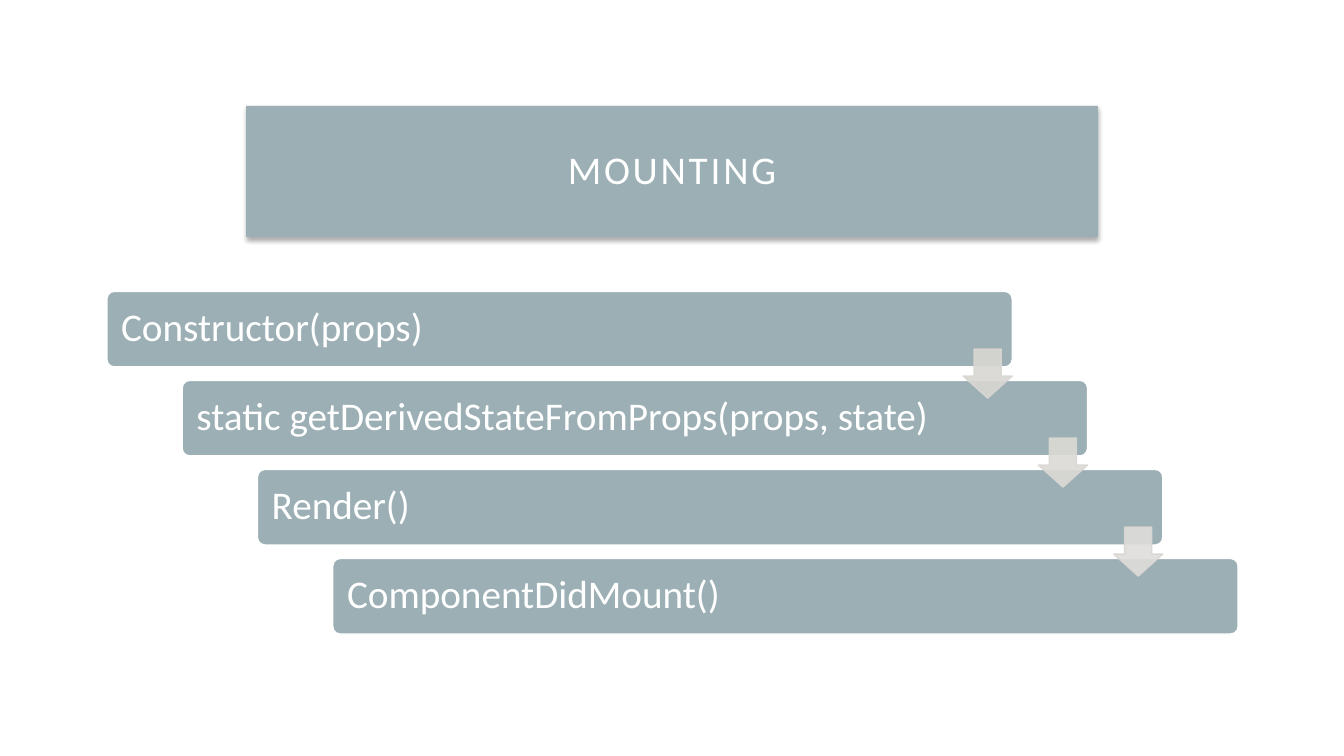
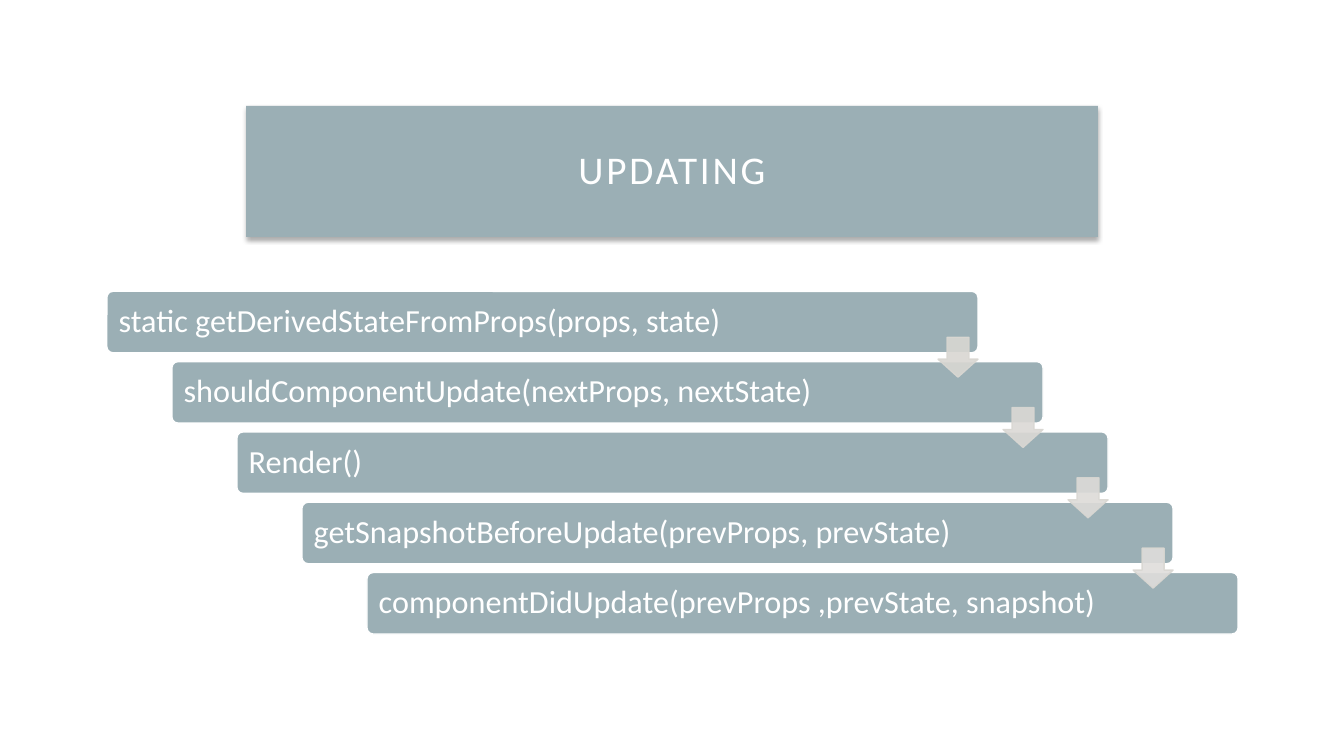
from dataclasses import dataclass

from lxml import etree
from pptx import Presentation
from pptx import util as u
from pptx.dml.color import RGBColor
from pptx.enum import shapes, text
from pptx.oxml import ns

TEAL = RGBColor(0x9B, 0xAF, 0xB5)
WHITE = RGBColor(0xFF, 0xFF, 0xFF)
BLACK = RGBColor(0x00, 0x00, 0x00)
ARROW_FIRST = RGBColor(0xD9, 0xD7, 0xD2)
ARROW_LAST = RGBColor(0xDF, 0xDD, 0xDB)
FONT = "Calibri"

CASCADE_LEFT, CASCADE_TOP = 1.06, 2.89
CASCADE_WIDTH, CASCADE_HEIGHT = 11.22, 3.4
ARROW_RATIO = 0.65


@dataclass(frozen=True)
class Lifecycle:
    title: str
    methods: tuple[str, ...]
    bar_width: float
    bar_height: float
    inset: float
    font_size: float


LIFECYCLES = (
    Lifecycle(
        "MOUNTING",
        (
            "Constructor(props)",
            "static getDerivedStateFromProps(props, state)",
            "Render()",
            "ComponentDidMount()",
        ),
        bar_width=8.98, bar_height=0.75, inset=0.12, font_size=28,
    ),
    Lifecycle(
        "UPDATING",
        (
            "static getDerivedStateFromProps(props, state)",
            "shouldComponentUpdate(nextProps, nextState)",
            "Render()",
            "getSnapshotBeforeUpdate(prevProps, prevState)",
            "componentDidUpdate(prevProps ,prevState, snapshot)",
        ),
        bar_width=8.64, bar_height=0.61, inset=0.1, font_size=23,
    ),
)


def add_block(parent, kind, left: float, top: float, width: float, height: float,
              fill: RGBColor, line: RGBColor | None = None):
    block = parent.add_shape(kind, u.Inches(left), u.Inches(top),
                             u.Inches(width), u.Inches(height))
    block.shadow.inherit = False
    block.fill.solid()
    block.fill.fore_color.rgb = fill
    if line is None:
        block.line.fill.background()
    else:
        block.line.color.rgb = line
        block.line.width = u.Pt(1)
    return block


def add_alpha(color, percent: int) -> None:
    etree.SubElement(color, ns.qn("a:alpha"), val=str(percent * 1000))


def write_label(block, label: str, size: float, inset: float, align):
    frame = block.text_frame
    frame.text = label
    frame.word_wrap = True
    frame.vertical_anchor = text.MSO_ANCHOR.MIDDLE
    frame.margin_left = frame.margin_right = u.Inches(inset)
    frame.margin_top = frame.margin_bottom = u.Inches(inset)
    para = frame.paragraphs[0]
    para.alignment = align
    para.line_spacing = 0.9
    span = para.runs[0]
    span.font.name = FONT
    span.font.size = u.Pt(size)
    span.font.color.rgb = WHITE
    return span


def add_title(page, title: str) -> None:
    box = add_block(page.shapes, shapes.MSO_SHAPE.RECTANGLE, 2.44, 1.05, 8.45, 1.3, TEAL)
    effects = box._element.spPr.find(ns.qn("a:effectLst"))
    shadow = etree.SubElement(
        effects, ns.qn("a:outerShdw"), blurRad=str(u.Pt(3.5)), dist=str(u.Pt(2.2)),
        dir="5400000", algn="t", rotWithShape="0")
    add_alpha(etree.SubElement(shadow, ns.qn("a:srgbClr"), val=str(BLACK)), 32)
    span = write_label(box, title, 28, 0.2, text.PP_ALIGN.CENTER)
    span.font._element.set("spc", "200")


def arrow_tint(share: float) -> RGBColor:
    return RGBColor(*(round(first + (last - first) * share)
                      for first, last in zip(ARROW_FIRST, ARROW_LAST)))


def add_cascade(page, cycle: Lifecycle) -> None:
    group = page.shapes.add_group_shape().shapes
    steps = len(cycle.methods) - 1
    step_x = (CASCADE_WIDTH - cycle.bar_width) / steps
    step_y = (CASCADE_HEIGHT - cycle.bar_height) / steps
    for index, method in enumerate(cycle.methods):
        bar = add_block(group, shapes.MSO_SHAPE.ROUNDED_RECTANGLE,
                        CASCADE_LEFT + index * step_x, CASCADE_TOP + index * step_y,
                        cycle.bar_width, cycle.bar_height, TEAL, WHITE)
        bar.adjustments[0] = 0.1
        write_label(bar, method, cycle.font_size, cycle.inset, text.PP_ALIGN.LEFT)

    size = cycle.bar_height * ARROW_RATIO
    for index in range(steps):
        right = CASCADE_LEFT + index * step_x + cycle.bar_width
        middle = CASCADE_TOP + index * step_y + (cycle.bar_height + step_y) / 2
        arrow = add_block(group, shapes.MSO_SHAPE.DOWN_ARROW, right - size,
                          middle - size / 2, size, size,
                          arrow_tint(index / (steps - 1)), ARROW_FIRST)
        arrow.adjustments[0] = 0.55
        arrow.adjustments[1] = 0.45
        for color in arrow._element.spPr.findall(".//" + ns.qn("a:srgbClr")):
            add_alpha(color, 90)


def main() -> None:
    deck = Presentation()
    deck.slide_width = u.Inches(13.33)
    deck.slide_height = u.Inches(7.5)
    for cycle in LIFECYCLES:
        page = deck.slides.add_slide(deck.slide_layouts[6])
        add_title(page, cycle.title)
        add_cascade(page, cycle)
    deck.save("out.pptx")


if __name__ == "__main__":
    main()
